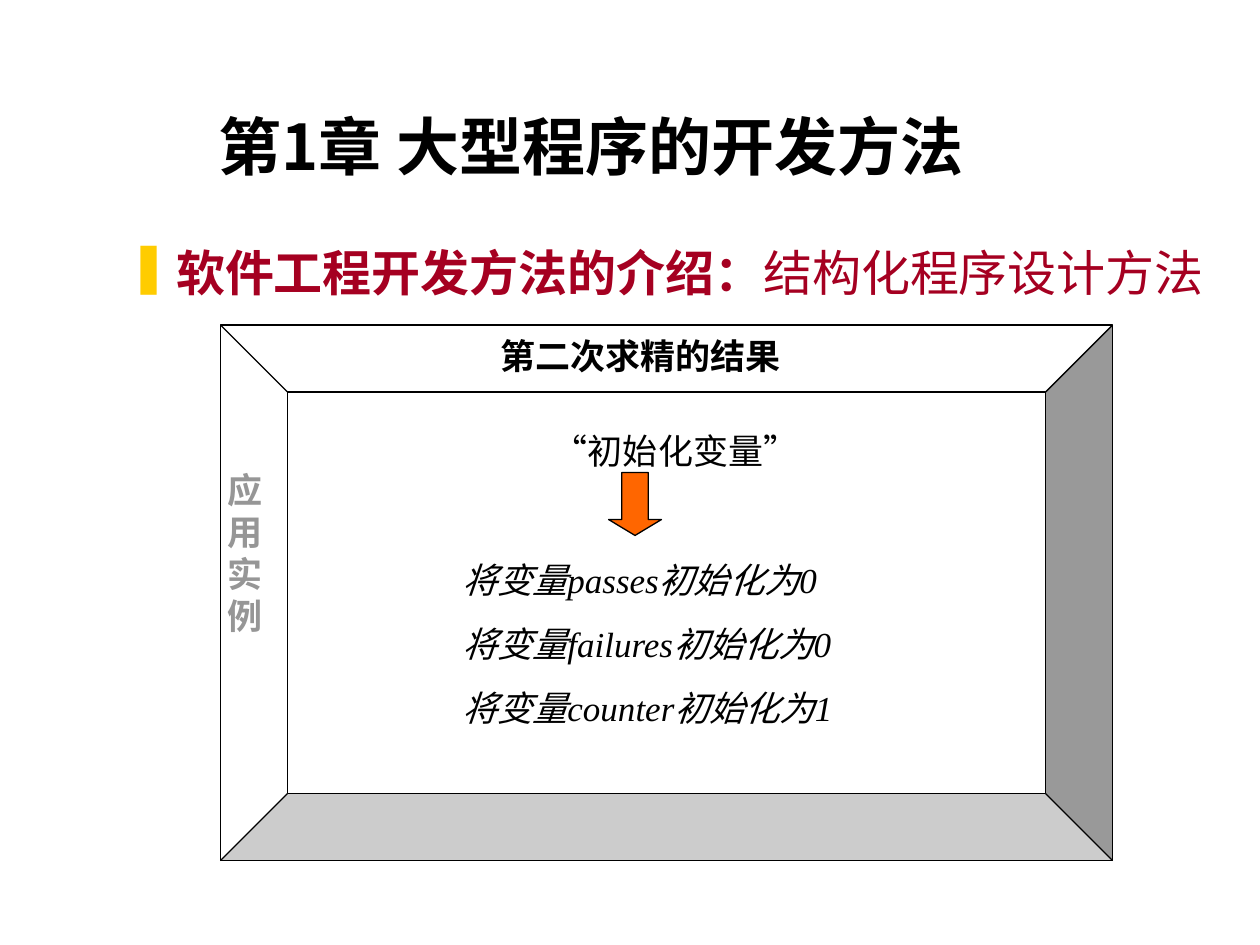
from lxml import etree
from pptx import Presentation
from pptx.dml.color import RGBColor
from pptx.enum.shapes import MSO_SHAPE
from pptx.enum.text import MSO_ANCHOR, MSO_AUTO_SIZE, PP_ALIGN
from pptx.oxml.ns import qn
from pptx.util import Inches, Pt

CENTER, LEFT = PP_ALIGN.CENTER, PP_ALIGN.LEFT
BEVEL, DOWN_ARROW = MSO_SHAPE.BEVEL, MSO_SHAPE.DOWN_ARROW
SANS, SERIF = "Noto Sans CJK SC", "Times New Roman"
BLACK, RED, GRAY = "000000", "A50021", "969696"


def rgb(value):
    return RGBColor.from_string(value)


def place(sp, left, top, width, height):
    sp.left, sp.top = Inches(left), Inches(top)
    sp.width, sp.height = Inches(width), Inches(height)


def add_run(p, text, size=20, color=BLACK, font=SERIF, bold=False, italic=False):
    r = p.add_run()
    r.text = text
    f = r.font
    f.size, f.bold, f.italic, f.name = Pt(size), bold, italic, font
    f.color.rgb = rgb(color)
    etree.SubElement(r._r.get_or_add_rPr(), qn("a:ea"), typeface=SANS)


def format_paragraph(p, align=LEFT, line=None, before=0, margin=0, indent=0):
    p.alignment = align
    p.space_before = Pt(before)
    if line:
        p.line_spacing = Pt(line)
    pPr = p._p.get_or_add_pPr()
    pPr.set("marL", str(Inches(margin)))
    pPr.set("indent", str(Inches(indent)))


def add_bullet(p, char, color):
    pPr = p._p.get_or_add_pPr()
    bu_color = etree.SubElement(pPr, qn("a:buClr"))
    etree.SubElement(bu_color, qn("a:srgbClr"), val=color)
    etree.SubElement(pPr, qn("a:buChar"), char=char)


def add_box(s, *box):
    """Add a wrapping text box and return its text frame."""
    tf = s.shapes.add_textbox(*map(Inches, box)).text_frame
    tf.word_wrap = True
    return tf


def add_label(s, box, text, align=LEFT, line=26, **font):
    p = add_box(s, *box).paragraphs[0]
    format_paragraph(p, align, line)
    add_run(p, text, **font)


def add_shape(s, kind, box, fill, adjustments):
    sp = s.shapes.add_shape(kind, *map(Inches, box))
    sp.shadow.inherit = False
    sp.fill.solid()
    sp.fill.fore_color.rgb = rgb(fill)
    sp.line.color.rgb = rgb(BLACK)
    sp.line.width = Pt(0.75)
    for i, value in enumerate(adjustments):
        sp.adjustments[i] = value


def add_title(s, text):
    title = s.shapes.title
    place(title, 0.44, 0.25, 8.5, 1.25)
    tf = title.text_frame
    tf.auto_size = MSO_AUTO_SIZE.NONE
    tf.vertical_anchor = MSO_ANCHOR.BOTTOM
    p = tf.paragraphs[0]
    format_paragraph(p, CENTER)
    add_run(p, text, size=36, font=SANS, bold=True)


def add_subtitle(s, topic, detail):
    p = add_box(s, 0.92, 1.83, 8.83, 0.69).paragraphs[0]
    format_paragraph(p, line=37, margin=0.38, indent=-0.38)
    add_bullet(p, "❚", "FFCC00")
    add_run(p, topic, size=28, color=RED, bold=True)
    add_run(p, detail, size=28, color=RED, font=SANS)


def add_refinement(s, step, variables):
    """Write the step, then below the arrow the statements it becomes."""
    tf = add_box(s, 3.25, 3.33, 3.83, 2.46)
    p = tf.paragraphs[0]
    format_paragraph(p, line=26, margin=1.04)
    add_run(p, step)
    for i, (name, value) in enumerate(variables):
        p = tf.add_paragraph()
        format_paragraph(p, line=26, before=10.6 if i else 47.7,
                         margin=0.53, indent=-0.21)
        add_run(p, f"将变量{name}初始化为{value}", italic=True)


def main():
    prs = Presentation()
    prs.slide_width, prs.slide_height = Inches(10), Inches(7.5)
    s = prs.slides.add_slide(prs.slide_layouts[5])
    add_title(s, "第1章 大型程序的开发方法")
    add_subtitle(s, "软件工程开发方法的介绍：", "结构化程序设计方法")
    add_shape(s, BEVEL, (1.75, 2.58, 7.08, 4.25), "FFFFFF", [0.125])
    add_refinement(s, "“初始化变量”",
                   [("passes", 0), ("failures", 0), ("counter", 1)])
    add_label(s, (1.71, 3.67, 0.42, 1.44), "应用实例", line=24,
              color=GRAY, bold=True)
    add_label(s, (2.75, 2.58, 4.67, 0.44), "第二次求精的结果", CENTER, bold=True)
    add_shape(s, DOWN_ARROW, (4.83, 3.75, 0.42, 0.5), "FF6600", [0.5, 0.3])
    prs.save("out.pptx")


if __name__ == "__main__":
    main()
